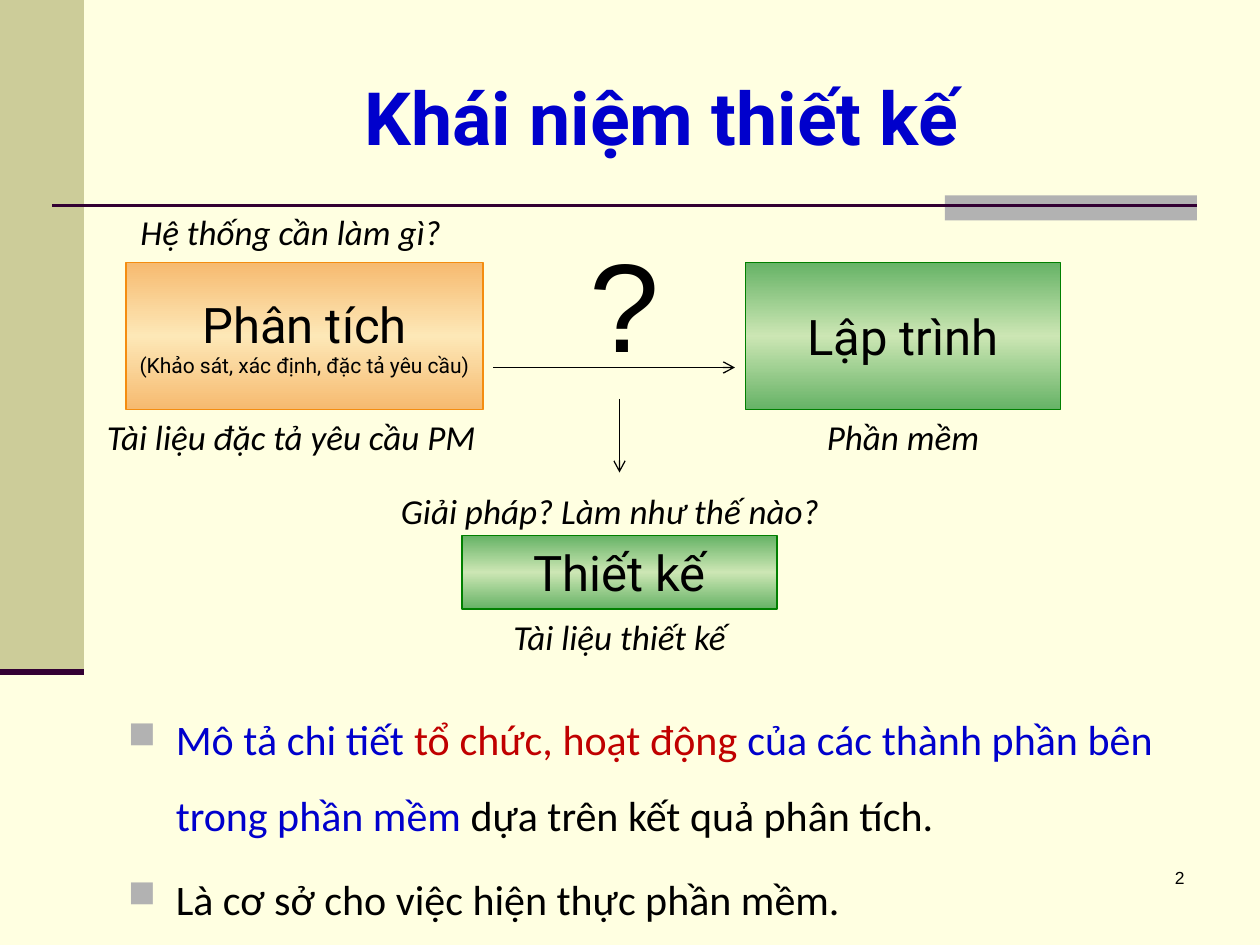
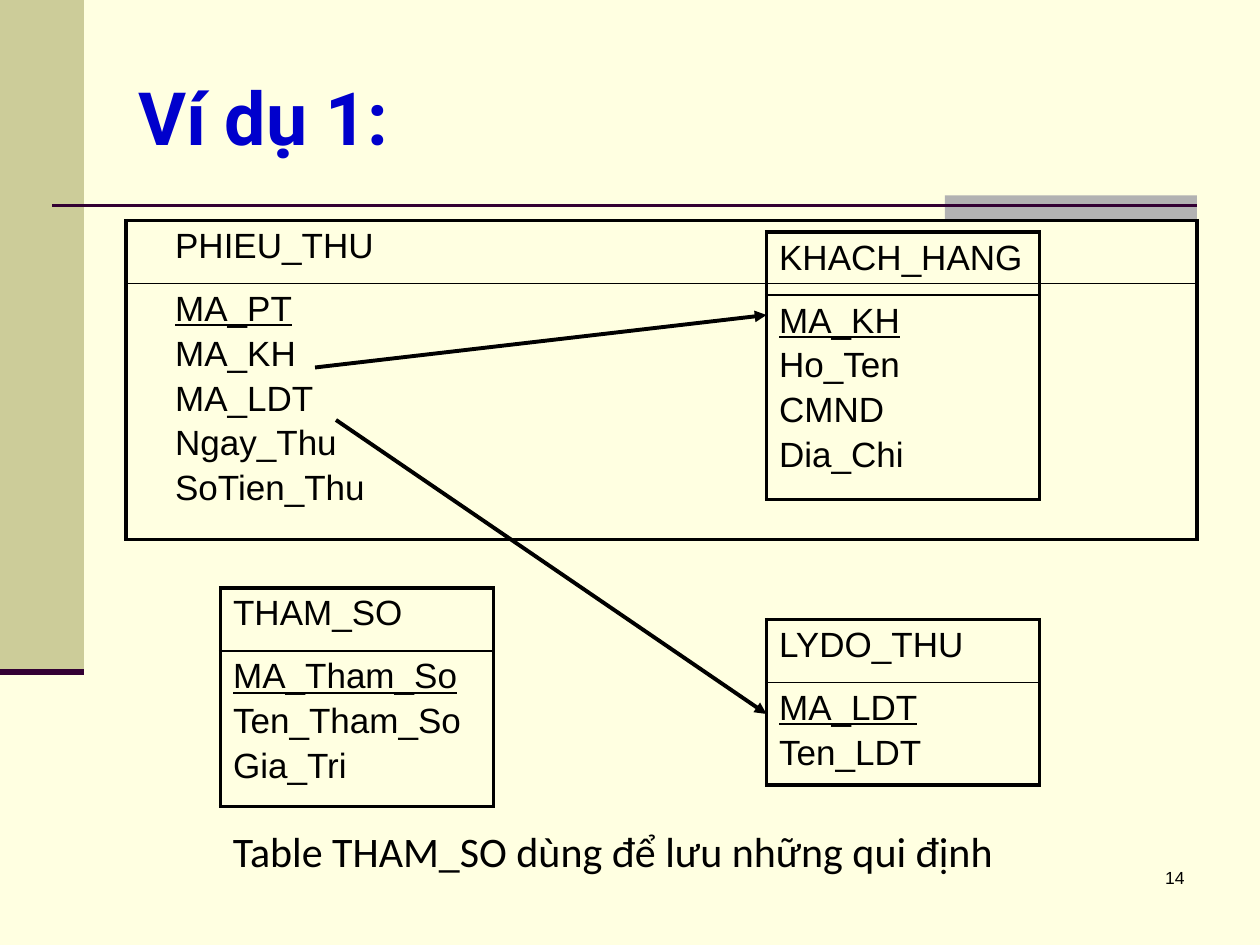
import copy
from dataclasses import dataclass
from typing import NamedTuple, Optional

import lxml.etree
import pptx
import pptx.dml.color
import pptx.enum.shapes
import pptx.enum.text
import pptx.oxml.ns
import pptx.util

Pt = pptx.util.Pt
qn = pptx.oxml.ns.qn
Align = pptx.enum.text.PP_ALIGN
Anchor = pptx.enum.text.MSO_ANCHOR
COLUMNS, ROWS = 120, 90  # grid over the 10 x 7.5 inch slide


# Theme: colours, fonts and type sizes
@dataclass(frozen=True)
class Theme:
    paper: str = "FFFFE1"
    olive: str = "CCCC99"
    gray: str = "B2B2B2"
    plum: str = "330033"
    blue: str = "0000CC"
    red: str = "C00000"
    black: str = "000000"
    orange: tuple = ("F48D10", "F6BA70", "FDE8B7")  # outline, edge, middle
    green: tuple = ("008000", "66B366", "CCE6B4")
    heading: str = "Roboto"
    text: str = "Calibri"
    plain: str = "Arial"
    title_size: float = 42
    box_size: float = 28
    body_size: float = 24
    label_size: float = 20
    detail_size: float = 12
    number_size: float = 10
    mark_size: float = 72


THEME = Theme()


class Area(NamedTuple):
    """Left, top, width and height in grid cells."""
    left: float
    top: float
    width: float
    height: float


class Style(NamedTuple):
    font: str
    size: float
    color: str = THEME.black
    bold: bool = False
    italic: bool = False
    underline: bool = False


TITLE = Style(THEME.heading, THEME.title_size, THEME.blue, bold=True)
BOX = Style(THEME.heading, THEME.box_size)
DETAIL = Style(THEME.heading, THEME.detail_size)
LABEL = Style(THEME.text, THEME.label_size, italic=True)
BODY = Style(THEME.text, THEME.body_size)
FIELD = Style(THEME.plain, THEME.label_size)
KEY = FIELD._replace(underline=True)
NUMBER = Style(THEME.plain, THEME.number_size)
MARK = Style(THEME.plain, THEME.mark_size)


@dataclass
class Stage:
    area: Area
    name: str
    tones: tuple
    detail: Optional[str] = None


@dataclass
class Label:
    area: Area
    text: str
    align: Align = Align.LEFT
    style: Style = LABEL


@dataclass
class Arrow:
    start: tuple
    end: tuple
    width: float = 0.75
    head: Optional[str] = "arrow"
    color: str = THEME.black


@dataclass
class Entity:
    """A database table; its first field is the key."""
    area: Area
    name: str
    fields: list
    inset: float = 0.1


presentation = pptx.Presentation()
presentation.slide_width = pptx.util.Inches(10)
presentation.slide_height = pptx.util.Inches(7.5)


def across(cells: float) -> int:
    return round(presentation.slide_width * cells / COLUMNS)


def down(cells: float) -> int:
    return round(presentation.slide_height * cells / ROWS)


def place(area: Area) -> tuple:
    return across(area.left), down(area.top), across(area.width), down(area.height)


def rgb(color: str):
    return pptx.dml.color.RGBColor.from_string(color)


def set_font(font, style: Style) -> None:
    font.name, font.size = style.font, Pt(style.size)
    font.bold, font.italic, font.underline = style.bold, style.italic, style.underline
    font.color.rgb = rgb(style.color)


def write(frame, lines: list, align=Align.LEFT, before: float = 0) -> None:
    """Fill a text frame with (text, style) lines."""
    for index, (text, style) in enumerate(lines):
        paragraph = frame.paragraphs[0] if index == 0 else frame.add_paragraph()
        paragraph.text = text
        paragraph.alignment = align
        paragraph.space_before = Pt(before)
        set_font(paragraph.font, style)


def add_label(slide, label: Label, anchor=Anchor.TOP) -> None:
    frame = slide.shapes.add_textbox(*place(label.area)).text_frame
    frame.word_wrap = True
    frame.vertical_anchor = anchor
    write(frame, [(label.text, label.style)], label.align)


def add_box(slide, area: Area):
    box = slide.shapes.add_shape(
        pptx.enum.shapes.MSO_SHAPE.RECTANGLE, *place(area))
    box.shadow.inherit = False
    return box


def add_band(slide, area: Area, color: str) -> None:
    band = add_box(slide, area)
    band.fill.solid()
    band.fill.fore_color.rgb = rgb(color)
    band.line.fill.background()


def add_arrow(slide, arrow: Arrow) -> None:
    (x1, y1), (x2, y2) = arrow.start, arrow.end
    connector = slide.shapes.add_connector(
        pptx.enum.shapes.MSO_CONNECTOR.STRAIGHT,
        across(x1), down(y1), across(x2), down(y2))
    connector.line.width = Pt(arrow.width)
    connector.line.color.rgb = rgb(arrow.color)
    properties = connector._element.spPr
    if arrow.head:
        lxml.etree.SubElement(
            properties.find(qn("a:ln")), qn("a:tailEnd"), type=arrow.head)
    lxml.etree.SubElement(properties, qn("a:effectLst"))


def add_stage(slide, stage: Stage) -> None:
    outline, edge, middle = stage.tones
    box = add_box(slide, stage.area)
    box.line.color.rgb = rgb(outline)
    box.line.width = Pt(0.75)
    box.fill.gradient()
    box.fill.gradient_angle = 90
    for stop, color, position in zip(box.fill.gradient_stops, (edge, middle), (0, 0.5)):
        stop.color.rgb = rgb(color)
        stop.position = position
    stops = box._element.spPr.find(".//" + qn("a:gsLst"))
    last = copy.deepcopy(stops[0])
    last.set("pos", "100000")
    stops.append(last)
    frame = box.text_frame
    frame.word_wrap = False
    frame.vertical_anchor = Anchor.MIDDLE
    lines = [(stage.name, BOX)]
    if stage.detail:
        lines.append((stage.detail, DETAIL))
    write(frame, lines, Align.CENTER)


def add_entity(slide, entity: Entity) -> None:
    table = slide.shapes.add_table(2, 1, *place(entity.area)).table
    table.first_row = table.horz_banding = False
    table.rows[0].height = down(6)
    table.rows[1].height = down(entity.area.height - 6)
    keyed = [(name, FIELD if index else KEY) for index, name in enumerate(entity.fields)]
    contents = [[(entity.name, FIELD)], keyed]
    edges = [(("L", 2.25), ("R", 2.25), ("T", 2.25), ("B", 1)),
             (("L", 2.25), ("R", 2.25), ("T", 1), ("B", 2.25))]
    for row, (lines, borders) in enumerate(zip(contents, edges)):
        cell = table.cell(row, 0)
        cell.margin_left = cell.margin_right = pptx.util.Inches(entity.inset)
        cell.fill.background()
        write(cell.text_frame, lines, before=3.3)
        for index, (side, width) in enumerate(borders):
            border = lxml.etree.Element(qn("a:ln" + side), w=str(Pt(width)))
            fill = lxml.etree.SubElement(border, qn("a:solidFill"))
            lxml.etree.SubElement(fill, qn("a:srgbClr"), val=THEME.black)
            cell._tc.get_or_add_tcPr().insert(index, border)


def add_bullets(slide, area: Area, points: list) -> None:
    """Each point is a list of (text, colour) parts."""
    frame = slide.shapes.add_textbox(*place(area)).text_frame
    frame.word_wrap = True
    for index, parts in enumerate(points):
        paragraph = frame.paragraphs[0] if index == 0 else frame.add_paragraph()
        properties = paragraph._p.get_or_add_pPr()
        indent = pptx.util.Inches(0.38)
        properties.set("marL", str(indent))
        properties.set("indent", str(-indent))
        tint = lxml.etree.SubElement(properties, qn("a:buClr"))
        lxml.etree.SubElement(tint, qn("a:srgbClr"), val=THEME.gray)
        lxml.etree.SubElement(properties, qn("a:buSzPct"), val="90000")
        lxml.etree.SubElement(properties, qn("a:buChar"), char="■")
        paragraph.alignment = Align.JUSTIFY
        paragraph.line_spacing = 1.5
        paragraph.space_before = Pt(4.6)
        set_font(paragraph.font, BODY)
        for text, color in parts:
            run = paragraph.add_run()
            run.text = text
            run.font.color.rgb = rgb(color)


def add_slide(title: str, number: int, align):
    """Blank slide with the shared bands, rules, title and number."""
    slide = presentation.slides.add_slide(presentation.slide_layouts[6])
    slide.background.fill.solid()
    slide.background.fill.fore_color.rgb = rgb(THEME.paper)
    add_band(slide, Area(0, 0, 8, 64), THEME.olive)
    add_band(slide, Area(90, 18.6, 24, 2.4), THEME.gray)
    add_arrow(slide, Arrow((5, 19.6), (114, 19.6), 1.5, None, THEME.plum))
    add_arrow(slide, Arrow((0, 64), (8, 64), 3.5, None, THEME.plum))
    add_label(slide, Label(Area(12, 3.6, 102, 15), title, align, TITLE), Anchor.MIDDLE)
    add_label(slide, Label(Area(89, 82, 25, 6), str(number), Align.RIGHT, NUMBER))
    return slide


# Slide: the concept of design
concept = add_slide("Khái niệm thiết kế", 2, Align.CENTER)
for stage in (
    Stage(Area(12, 25, 34, 14), "Phân tích", THEME.orange,
          "(Khảo sát, xác định, đặc tả yêu cầu)"),
    Stage(Area(44, 51, 30, 7), "Thiết kế", THEME.green),
    Stage(Area(71, 25, 30, 14), "Lập trình", THEME.green),
):
    add_stage(concept, stage)
for label in (
    Label(Area(12.2, 19.5, 33, 5.25), "Hệ thống cần làm gì?"),
    Label(Area(53, 21, 13, 15.75), "?", Align.CENTER, MARK),
    Label(Area(9, 39, 40, 5.25), "Tài liệu đặc tả yêu cầu PM"),
    Label(Area(75, 39, 22, 5.25), "Phần mềm", Align.CENTER),
    Label(Area(37, 46, 45, 5.25), "Giải pháp? Làm như thế nào?"),
    Label(Area(39, 58, 40, 5.25), "Tài liệu thiết kế", Align.CENTER),
):
    add_label(concept, label)
add_arrow(concept, Arrow((47, 35), (70, 35)))
add_arrow(concept, Arrow((59, 38), (59, 45)))
add_bullets(concept, Area(11, 65, 100, 22.4), [
    [("Mô tả chi tiết ", THEME.blue), ("tổ chức, hoạt động ", THEME.red),
     ("của các thành phần bên trong phần mềm ", THEME.blue),
     ("dựa trên kết quả phân tích.", THEME.black)],
    [("Là cơ sở cho việc hiện thực phần mềm.", THEME.black)],
])

# Slide: example database schema
example = add_slide("Ví dụ 1:", 14, Align.LEFT)
for entity in (
    Entity(Area(12, 21, 102, 30.4), "PHIEU_THU",
           ["MA_PT", "MA_KH", "MA_LDT", "Ngay_Thu", "SoTien_Thu"], 0.39),
    Entity(Area(73, 22.1, 26, 25.5), "KHACH_HANG",
           ["MA_KH", "Ho_Ten", "CMND", "Dia_Chi"]),
    Entity(Area(73, 59, 26, 15.3), "LYDO_THU", ["MA_LDT", "Ten_LDT"]),
    Entity(Area(21, 56, 26, 20.8), "THAM_SO",
           ["MA_Tham_So", "Ten_Tham_So", "Gia_Tri"]),
):
    add_entity(example, entity)
add_arrow(example, Arrow((30, 35), (73, 30), 2.25, "triangle"))
add_arrow(example, Arrow((32, 40), (73, 68), 2.25, "triangle"))
add_label(example, Label(Area(21, 78, 85, 6),
                         "Table THAM_SO dùng để lưu những qui định", style=BODY))

presentation.save("out.pptx")
